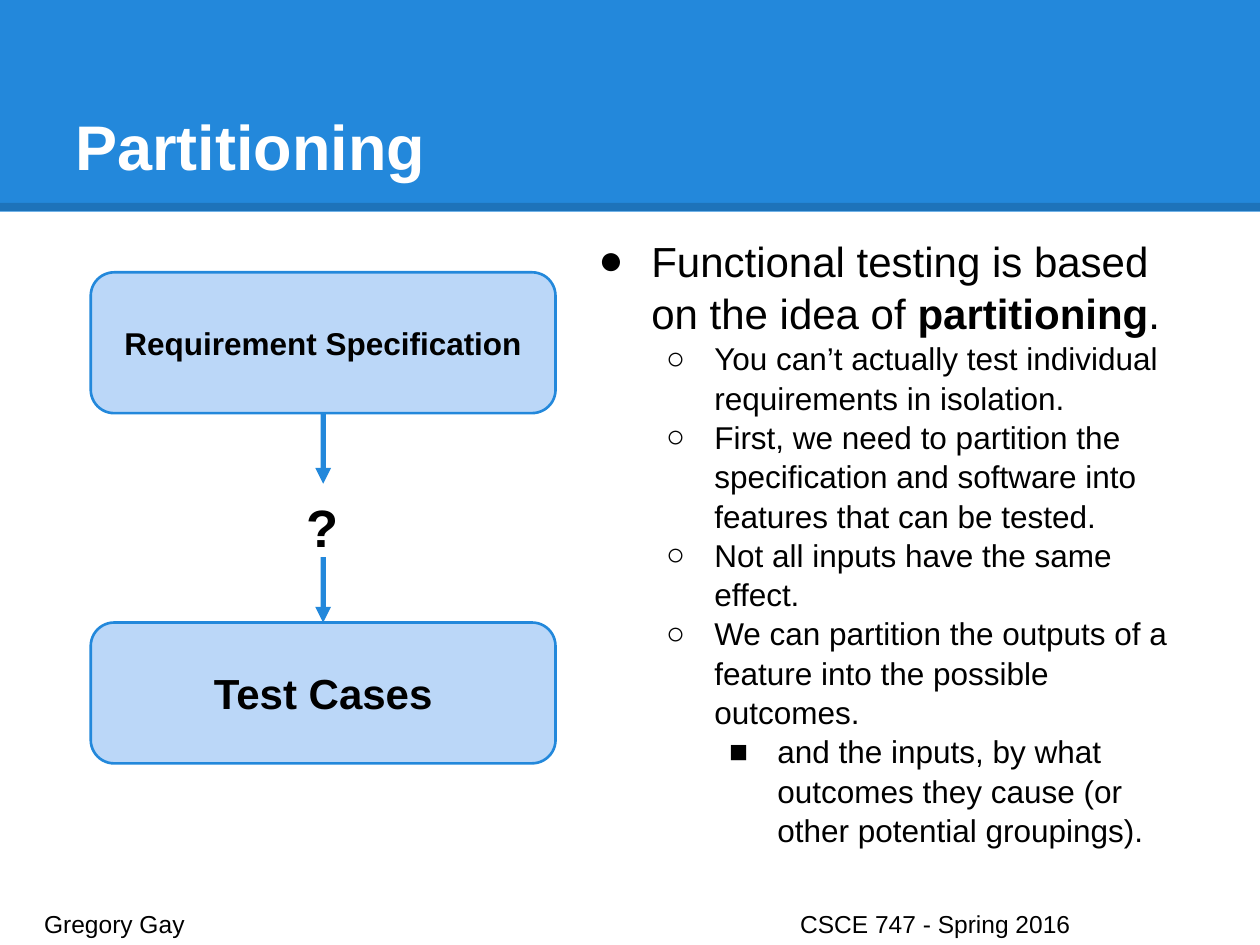
from lxml import etree
from pptx import Presentation
from pptx.dml.color import RGBColor
from pptx.enum.shapes import MSO_CONNECTOR as Connector, MSO_SHAPE as Shape
from pptx.enum.text import MSO_ANCHOR as Anchor, MSO_AUTO_SIZE as AutoSize, PP_ALIGN as Align
from pptx.oxml.ns import qn
from pptx.util import Cm, Pt

FONT = "Arial"
BLUE, PALE, BLACK, WHITE = "2388DB", "BBD7F8", "000000", "FFFFFF"

POINTS = [  # level, size, runs as (text, bold)
    (0, 24, [("Functional testing is based on the idea of ", False),
             ("partitioning", True), (".", False)]),
    (1, 18, [("You can’t actually test individual requirements in isolation.", False)]),
    (1, 18, [("First, we need to partition the specification and software into "
              "features that can be tested.", False)]),
    (1, 18, [("Not all inputs have the same effect.", False)]),
    (1, 18, [("We can partition the outputs of a feature into the possible outcomes.", False)]),
    (2, 18, [("and the inputs, by what outcomes they cause (or other potential "
              "groupings).", False)]),
]


def color(value):
    return RGBColor.from_string(value)


def place(shape, left, top, width, height):
    shape.left, shape.top, shape.width, shape.height = map(Cm, (left, top, width, height))


def prepare(shape, anchor=Anchor.TOP):
    """Give the text frame its common insets and return its first paragraph."""
    frame = shape.text_frame
    frame.word_wrap, frame.auto_size = True, AutoSize.NONE
    frame.vertical_anchor = anchor
    frame.margin_left = frame.margin_right = Cm(0.25)
    frame.margin_top = frame.margin_bottom = Cm(0.25)
    return frame.paragraphs[0]


def add_span(para, text, size, bold=False, ink=BLACK):
    span = para.add_run()
    span.text = text
    span.font.name, span.font.size, span.font.bold = FONT, Pt(size), bold
    span.font.color.rgb = color(ink)


def add_line(page, start, end, ink, width):
    line = page.shapes.add_connector(Connector.STRAIGHT, *map(Cm, start + end))
    line.line.color.rgb = color(ink)
    line.line.width = Pt(width)
    etree.SubElement(line.element.spPr, qn("a:effectLst"))
    return line


def add_arrow(page, x, top, bottom):
    arrow = add_line(page, (x, top), (x, bottom), BLUE, 3)
    etree.SubElement(arrow.line._get_or_add_ln(), qn("a:tailEnd"), type="triangle")
    return arrow


def add_header(page, width, height):
    # Blue band with a darker translucent edge
    band = page.shapes.add_shape(Shape.RECTANGLE, 0, 0, Cm(width), Cm(height))
    band.shadow.inherit = False
    band.fill.solid()
    band.fill.fore_color.rgb = color(BLUE)
    band.line.fill.background()
    edge = add_line(page, (0, height - 0.1), (width, height - 0.1), BLACK, 4.5)
    ink = edge.element.spPr.find(".//" + qn("a:srgbClr"))
    etree.SubElement(ink, qn("a:alpha"), val="15000")

    # Title, brought in front of the band
    title = page.shapes.title
    edge.element.addnext(title.element)
    place(title, 1.27, 0.76, width - 2.54, 3.18)
    para = prepare(title, Anchor.BOTTOM)
    para.alignment = Align.LEFT
    add_span(para, "Partitioning", 36, True, WHITE)


def add_block(page, left, top, width, height, text, size):
    block = page.shapes.add_shape(Shape.ROUNDED_RECTANGLE, *map(Cm, (left, top, width, height)))
    block.shadow.inherit = False
    block.fill.solid()
    block.fill.fore_color.rgb = color(PALE)
    block.line.color.rgb = color(BLUE)
    block.line.width = Pt(1.5)
    para = prepare(block, Anchor.MIDDLE)
    para.alignment = Align.CENTER
    add_span(para, text, size, True)
    return block


def add_diagram(page, left, top, width, height):
    block_height = 2.84
    middle, bottom = left + width / 2, top + height
    source = add_block(page, left, top, width, block_height, "Requirement Specification", 18)
    target = add_block(page, left, bottom - block_height, width, block_height, "Test Cases", 24)

    # Arrows into and out of the question mark
    first = top + block_height
    last = bottom - block_height
    add_arrow(page, middle, first, first + 1.42).begin_connect(source, 2)
    add_arrow(page, middle, last - 1.32, last).end_connect(target, 0)
    box = page.shapes.add_textbox(*map(Cm, (middle - 0.83, first + 1.4, 1.65, 1.42)))
    para = prepare(box)
    para.alignment = Align.CENTER
    add_span(para, "?", 30, True)


def add_bullet(para, level):
    indent = 1.07 if level == 0 else 0.97
    props = para._p.get_or_add_pPr()
    props.set("marL", str(Cm(1.27 * (level + 1))))
    props.set("indent", str(-Cm(indent)))
    ink = etree.SubElement(props, qn("a:buClr"))
    etree.SubElement(ink, qn("a:srgbClr"), val=BLACK)
    etree.SubElement(props, qn("a:buFont"), typeface=FONT)
    etree.SubElement(props, qn("a:buChar"), char="●○■"[level])


def add_points(page, left, top, width, height):
    body = page.placeholders[1]
    place(body, left, top, width, height)
    para = prepare(body)
    for number, (level, size, spans) in enumerate(POINTS):
        if number:
            para = body.text_frame.add_paragraph()
        para.level = level
        add_bullet(para, level)
        para.space_before = Pt(0)
        para.line_spacing = 1.04
        for text, bold in spans:
            add_span(para, text, size, bold)


def add_footer(page, left, top, width, height):
    box = page.shapes.add_textbox(*map(Cm, (left, top, width, height)))
    para = prepare(box)
    tabs = etree.SubElement(para._p.get_or_add_pPr(), qn("a:tabLst"))
    etree.SubElement(tabs, qn("a:tab"), pos=str(Cm(15.24)), algn="l")
    add_span(para, "Gregory Gay\tCSCE 747 - Spring 2016", 14)


def main():
    deck = Presentation()
    deck.slide_width, deck.slide_height = Cm(25.4), Cm(19.05)
    page = deck.slides.add_slide(deck.slide_layouts[1])
    add_header(page, 25.4, 4.27)
    add_diagram(page, 1.83, 5.49, 9.37, 9.9)
    add_footer(page, 0.64, 18.08, 24.16, 0.76)
    add_points(page, 11.61, 4.45, 12.52, 13.79)
    deck.save("out.pptx")


if __name__ == "__main__":
    main()
